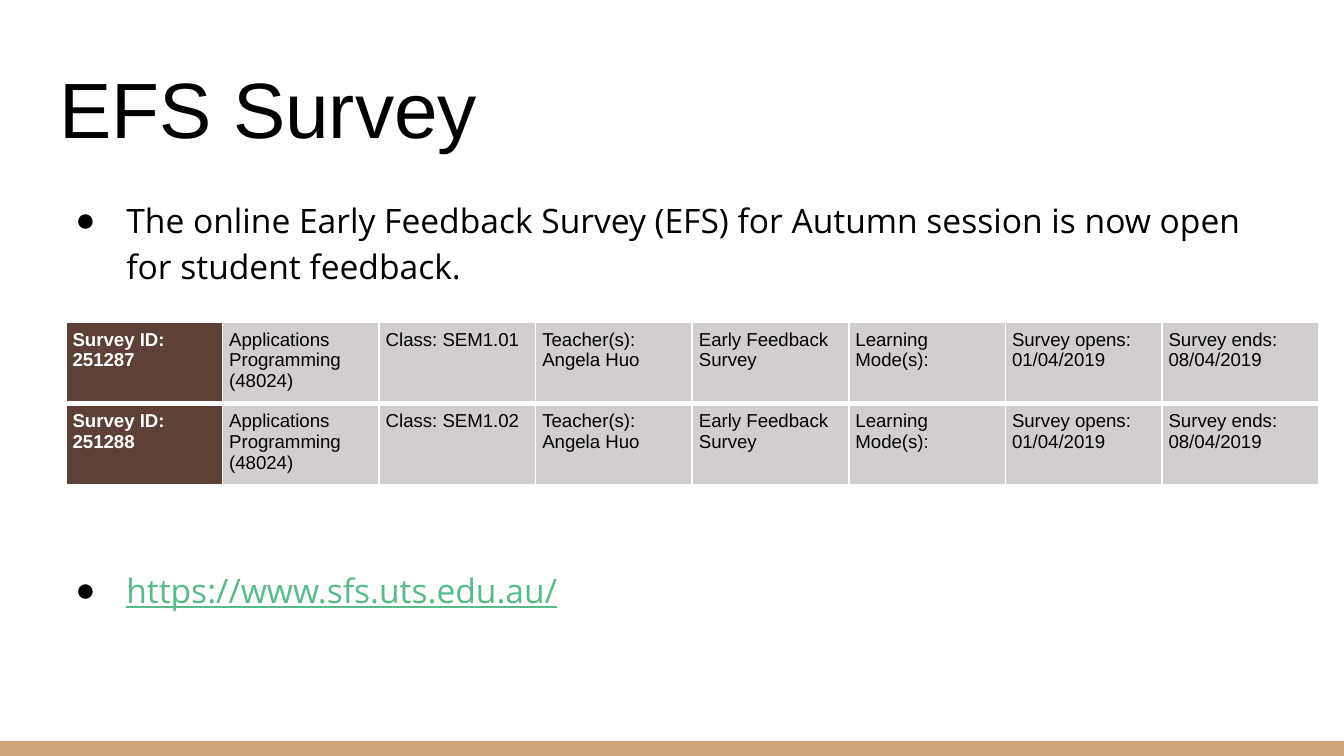
from lxml.etree import SubElement
from pptx import Presentation
from pptx.dml.color import RGBColor
from pptx.enum.shapes import MSO_SHAPE
from pptx.enum.text import MSO_ANCHOR, MSO_AUTO_SIZE, PP_ALIGN
from pptx.oxml.ns import qn
from pptx.util import Inches, Pt

BLACK, WHITE, GREEN = "000000", "FFFFFF", "57BB8A"
BROWN, GREY, TAN = "5D4037", "D2CECE", "CCA677"
PAGE_WIDTH = 10
PAGE_HEIGHT = PAGE_WIDTH * 9 / 16
SURVEYS = [("251287", "SEM1.01"), ("251288", "SEM1.02")]
LINE_HEIGHT = 24.8  # points, one line of 18 pt body text


def color(hex_value):
    return RGBColor.from_string(hex_value)


def set_font(font, name, size, hex_value, bold=False):
    font.name = name
    font.size = Pt(size)
    font.bold = bold
    font.color.rgb = color(hex_value)


def place(shape, left, top, width, height):
    shape.left, shape.top = Inches(left), Inches(top)
    shape.width, shape.height = Inches(width), Inches(height)


def prepare_frame(frame, anchor):
    frame.auto_size = MSO_AUTO_SIZE.NONE
    frame.word_wrap = True
    frame.vertical_anchor = anchor
    frame.margin_left = frame.margin_right = Inches(0.1)
    frame.margin_top = frame.margin_bottom = Inches(0.1)


def add_footer_bar(page):
    height = 0.11
    bar = page.shapes.add_shape(MSO_SHAPE.RECTANGLE, Inches(0),
                                Inches(PAGE_HEIGHT - height),
                                Inches(PAGE_WIDTH), Inches(height))
    bar.shadow.inherit = False
    bar.fill.solid()
    bar.fill.fore_color.rgb = color(TAN)
    bar.line.fill.background()


def fill_title(title, text):
    place(title, 0.34, 0.34, 9.32, 0.91)
    prepare_frame(title.text_frame, MSO_ANCHOR.BOTTOM)
    title.text_frame.text = text
    paragraph = title.text_frame.paragraphs[0]
    paragraph.alignment = PP_ALIGN.LEFT
    set_font(paragraph.font, "Arial", 42, BLACK)


def add_bullet(paragraph):
    properties = paragraph._p.get_or_add_pPr()
    properties.set("marL", str(Inches(0.5)))
    properties.set("indent", str(Inches(-0.38)))
    bullet_color = SubElement(properties, qn("a:buClr"))
    SubElement(bullet_color, qn("a:srgbClr"), val=BLACK)
    SubElement(properties, qn("a:buFont"), typeface="Arial")
    SubElement(properties, qn("a:buChar"), char="●")


def write_item(paragraph, text, hex_value, space_before=0):
    add_bullet(paragraph)
    paragraph.line_spacing = 1.15
    paragraph.space_before = Pt(space_before)
    set_font(paragraph.font, "Open Sans", 18, hex_value)
    span = paragraph.add_run()
    span.text = text
    return span


def fill_body(body):
    place(body, 0.34, 1.34, 9.32, 3.67)
    frame = body.text_frame
    prepare_frame(frame, MSO_ANCHOR.TOP)
    write_item(frame.paragraphs[0],
               "The online Early Feedback Survey (EFS) for Autumn session "
               "is now open for student feedback.", BLACK)
    # The second item clears six lines, where the table stands.
    address = write_item(frame.add_paragraph(), "https://www.sfs.uts.edu.au/",
                         GREEN, space_before=6 * LINE_HEIGHT)
    address.font.underline = True


def add_borders(cell, bottom_width):
    properties = cell._tc.get_or_add_tcPr()
    widths = {"a:lnL": 1, "a:lnR": 1, "a:lnT": 1, "a:lnB": bottom_width}
    for side, width in widths.items():
        line = SubElement(properties, qn(side), w=str(Pt(width)))
        fill = SubElement(line, qn("a:solidFill"))
        SubElement(fill, qn("a:srgbClr"), val=WHITE)


def write_cell(cell, text, is_heading, bottom_width):
    cell.margin_left = cell.margin_right = Inches(0.05)
    cell.margin_top = cell.margin_bottom = Inches(0.05)
    add_borders(cell, bottom_width)
    cell.fill.solid()
    cell.fill.fore_color.rgb = color(BROWN if is_heading else GREY)
    cell.text = text
    set_font(cell.text_frame.paragraphs[0].font, "Arial", 10,
             WHITE if is_heading else BLACK, bold=is_heading)


def add_survey_table(page):
    table = page.shapes.add_table(len(SURVEYS), 8, Inches(0.49), Inches(2.4),
                                  Inches(9.32), Inches(1.21)).table
    table.first_row = table.horz_banding = False
    for row, (survey_id, class_name) in enumerate(SURVEYS):
        texts = [f"Survey ID: {survey_id}", "Applications Programming (48024)",
                 f"Class: {class_name}", "Teacher(s): Angela Huo",
                 "Early Feedback Survey", "Learning Mode(s):",
                 "Survey opens: 01/04/2019", "Survey ends: 08/04/2019"]
        for column, text in enumerate(texts):
            write_cell(table.cell(row, column), text, is_heading=column == 0,
                       bottom_width=3 if row == 0 else 1)


def main():
    deck = Presentation()
    deck.slide_width, deck.slide_height = Inches(PAGE_WIDTH), Inches(PAGE_HEIGHT)
    page = deck.slides.add_slide(deck.slide_layouts[1])
    add_footer_bar(page)
    fill_title(page.shapes.title, "EFS Survey")
    fill_body(page.placeholders[1])
    add_survey_table(page)
    deck.save("out.pptx")


if __name__ == "__main__":
    main()
